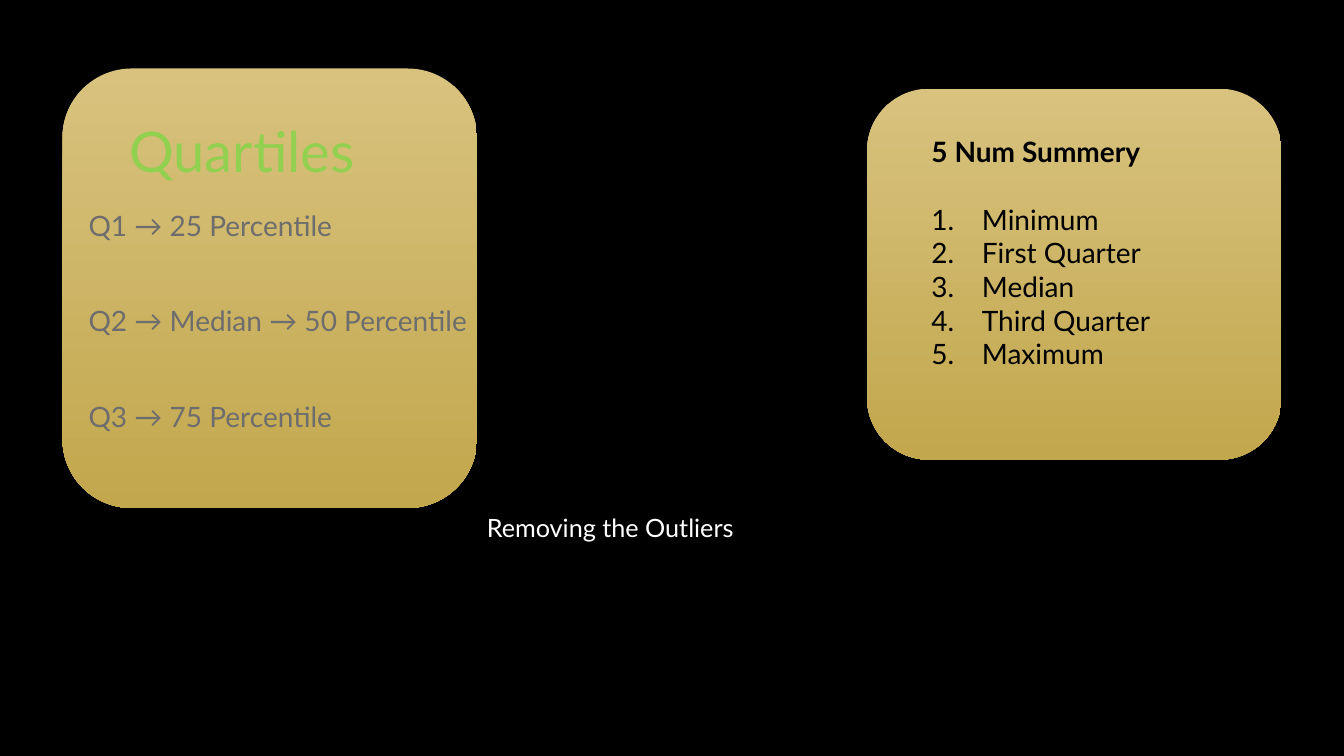
from lxml import etree
from pptx import Presentation
from pptx.dml.color import RGBColor
from pptx.enum.shapes import MSO_SHAPE
from pptx.enum.text import MSO_ANCHOR, MSO_AUTO_SIZE, PP_ALIGN
from pptx.oxml import parse_xml
from pptx.oxml.ns import nsdecls, qn
from pptx.util import Emu, Pt

ROUNDED = MSO_SHAPE.ROUNDED_RECTANGLE
CENTER = PP_ALIGN.CENTER
MIDDLE = MSO_ANCHOR.MIDDLE
NO_AUTO_SIZE = MSO_AUTO_SIZE.NONE

# Content
TITLE = "Quartiles"
QUARTILES = ["Q1 → 25 Percentile", "Q2 → Median → 50 Percentile", "Q3 → 75 Percentile"]
SUMMARY_HEADING = "5 Num Summery"
SUMMARY = ["Minimum", "First Quarter", "Median", "Third Quarter", "Maximum"]
CAPTION = "Removing the Outliers"

# Layout in px: left, top, width, height
PX = 9144
SLIDE_SIZE = (1333, 750)
CARDS = [(62, 68, 411, 436), (860, 88, 411, 368)]
TITLE_BOX = (86, 96, 308, 106)
QUARTILES_BOX = (78, 202, 407, 301)
SUMMARY_BOX = (914, 129, 548, 246)
CAPTION_BOX = (473, 503, 457, 40)
LIST_INDENT = 50

FONT = "Lato"
COLORS = {
    "background": "000000",
    "card_top": "D8C27E",
    "card_bottom": "C2A74D",
    "title": "92D050",
    "quartile": "6D6D6D",
    "summary": "000000",
    "caption": "FFFFFF",
    "outline": "404040",
    "shadow": "000000",
}


def rgb(name):
    return RGBColor.from_string(COLORS[name])


def place(box):
    return [Emu(length * PX) for length in box]


def shadow_effect(opacity, blur, distance):
    return parse_xml(
        f'<a:effectLst {nsdecls("a")}><a:outerShdw blurRad="{Pt(blur)}" dist="{Pt(distance)}" '
        f'dir="5400000" algn="t" rotWithShape="0"><a:srgbClr val="{COLORS["shadow"]}">'
        f'<a:alpha val="{opacity * 1000}"/></a:srgbClr></a:outerShdw></a:effectLst>'
    )


def format_paragraph(paragraph, size, color, bold=False):
    for run in paragraph.runs:
        run.font.name = FONT
        run.font.size = Pt(size)
        run.font.bold = bold
        run.font.color.rgb = rgb(color)


def add_glow_style(paragraph):
    """Give the runs a faint outline and a soft shadow."""
    for run in paragraph.runs:
        properties = run.font._element
        properties.insert(0, parse_xml(
            f'<a:ln {nsdecls("a")} w="9525"><a:solidFill><a:srgbClr val="{COLORS["outline"]}">'
            '<a:alpha val="10000"/></a:srgbClr></a:solidFill></a:ln>'
        ))
        properties.find(qn("a:solidFill")).addnext(shadow_effect(40, 3, 1))


def add_card(slide, box):
    card = slide.shapes.add_shape(ROUNDED, *place(box))
    card.fill.gradient()
    card.fill.gradient_angle = 270
    for stop, color in zip(card.fill.gradient_stops, ("card_top", "card_bottom")):
        stop.color.rgb = rgb(color)
    card.line.fill.background()
    card._element.spPr.append(shadow_effect(75, 6, 3))


def add_text(slide, box, lines, size, color):
    frame = slide.shapes.add_textbox(*place(box)).text_frame
    frame.word_wrap = True
    frame.text = "\n".join(lines)
    for paragraph in frame.paragraphs:
        format_paragraph(paragraph, size, color)
    return frame.paragraphs


def number_item(paragraph):
    properties = paragraph._element.get_or_add_pPr()
    properties.set("marL", str(LIST_INDENT * PX))
    properties.set("indent", str(-LIST_INDENT * PX))
    etree.SubElement(properties, qn("a:buFont"), typeface="+mj-lt")
    etree.SubElement(properties, qn("a:buAutoNum"), type="arabicPeriod")


def main():
    presentation = Presentation()
    presentation.slide_width, presentation.slide_height = place(SLIDE_SIZE)
    slide = presentation.slides.add_slide(presentation.slide_layouts[5])
    slide.background.fill.solid()
    slide.background.fill.fore_color.rgb = rgb("background")

    for box in CARDS:
        add_card(slide, box)

    # Title, brought in front of the cards
    title = slide.shapes.title
    slide.shapes._spTree.append(title._element)
    title.left, title.top, title.width, title.height = place(TITLE_BOX)
    frame = title.text_frame
    frame.text = TITLE
    frame.vertical_anchor = MIDDLE
    frame.auto_size = NO_AUTO_SIZE
    heading = frame.paragraphs[0]
    heading.alignment = CENTER
    format_paragraph(heading, 40, "title")
    add_glow_style(heading)

    # Quartile lines
    for paragraph in add_text(slide, QUARTILES_BOX, QUARTILES, 20, "quartile"):
        paragraph.space_after = Pt(44)
        add_glow_style(paragraph)

    # Five number summary
    heading, *items = add_text(slide, SUMMARY_BOX, [SUMMARY_HEADING, *SUMMARY], 20, "summary")
    format_paragraph(heading, 20, "summary", bold=True)
    heading.space_after = Pt(24)
    for item in items:
        number_item(item)

    # Caption
    add_text(slide, CAPTION_BOX, [CAPTION], 18, "caption")

    presentation.save("out.pptx")


if __name__ == "__main__":
    main()
